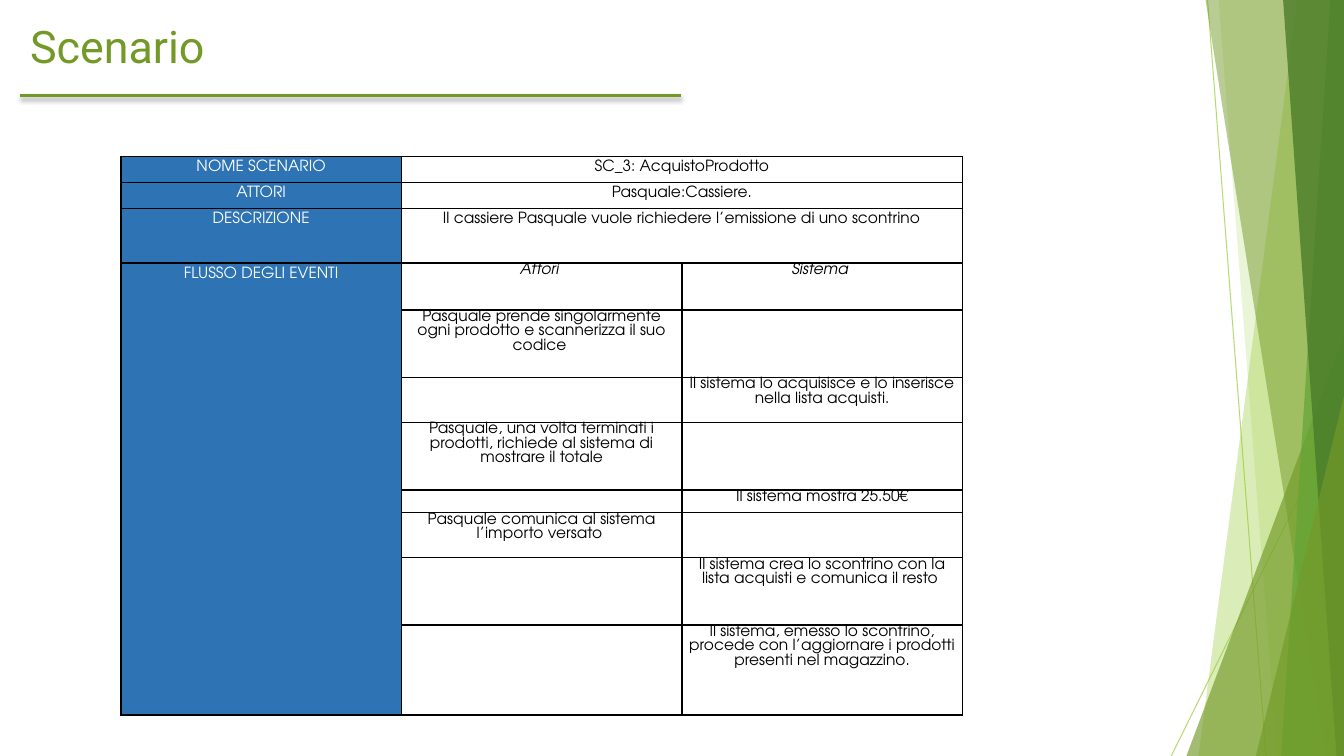
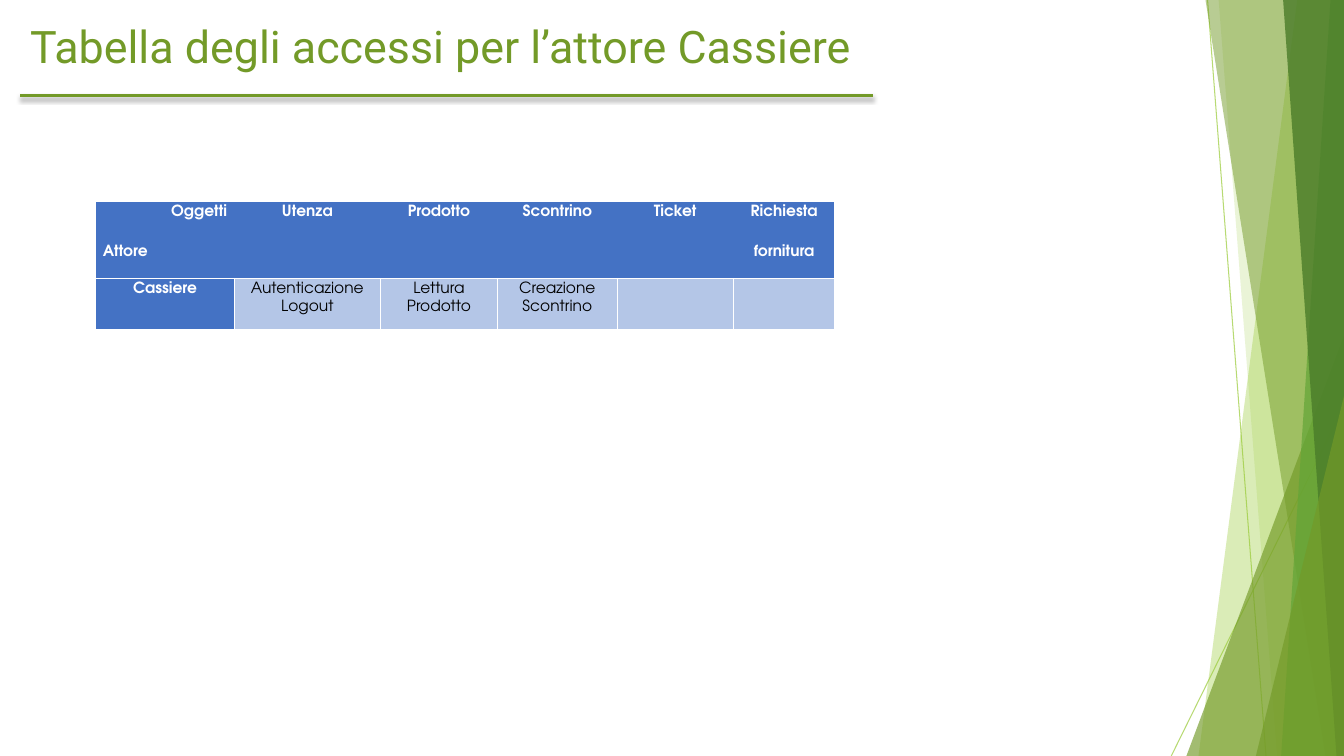
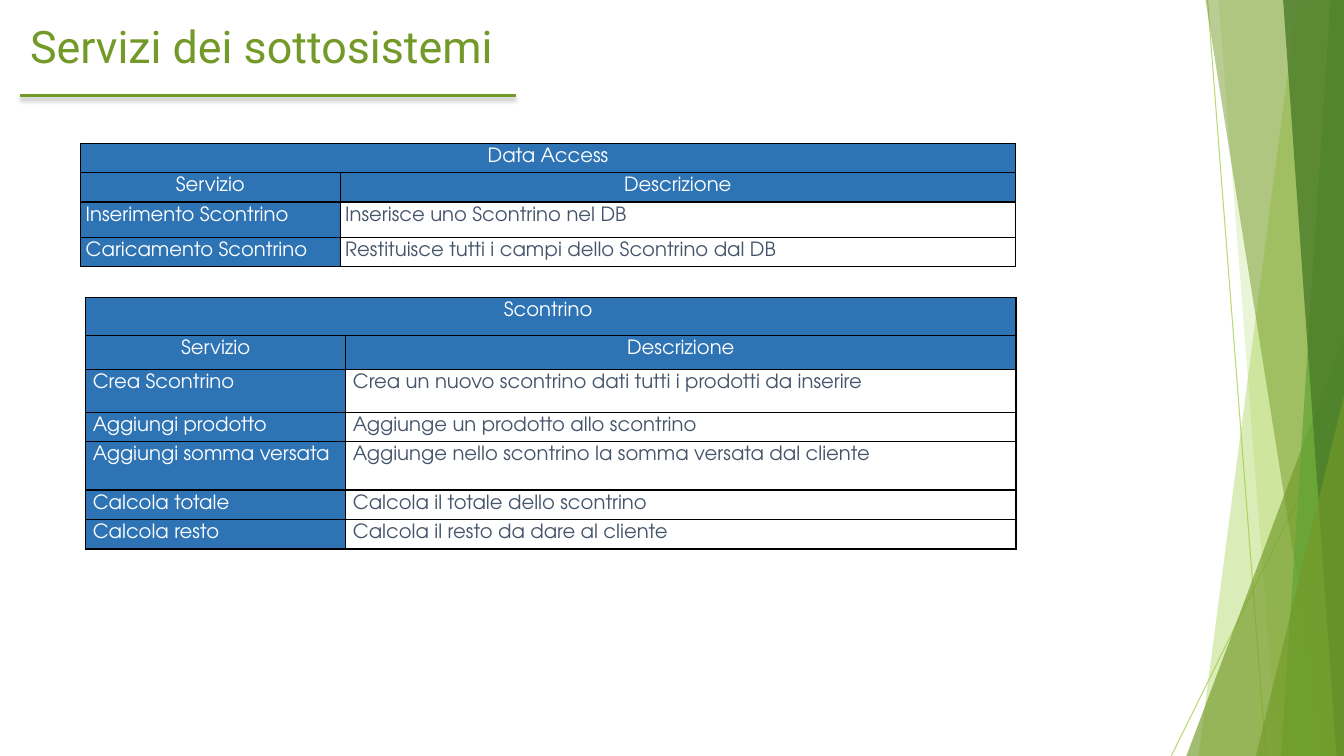
from dataclasses import dataclass

from lxml import etree
from pptx import Presentation
from pptx.dml.color import RGBColor
from pptx.enum.shapes import MSO_CONNECTOR, MSO_SHAPE
from pptx.enum.text import MSO_ANCHOR, PP_ALIGN
from pptx.oxml.ns import qn
from pptx.util import Emu, Inches, Pt

LEFT, MID, RIGHT = PP_ALIGN.LEFT, PP_ALIGN.CENTER, PP_ALIGN.RIGHT
TOP = MSO_ANCHOR.TOP
STRAIGHT = MSO_CONNECTOR.STRAIGHT
WEDGE = MSO_SHAPE.ISOSCELES_TRIANGLE

# The slide is a grid of 160 columns by 90 rows
COLS, ROWS = 160, 90
CELL = Inches(7.5) / ROWS

HUES = {
    "lime": "99CB38", "moss": "739A28", "leaf": "63A537", "pine": "4A7C29",
    "blue": "2E74B5", "royal": "4472C4", "pale": "B4C6E7", "slate": "44546A",
    "white": "FFFFFF", "black": "000000",
}
HEADING, COPY = "Roboto", "TeX Gyre Adventor"


@dataclass(frozen=True)
class Look:
    fill: str | None
    ink: str
    aligns: tuple = (MID,)
    loose: bool = True
    bold: bool = False
    slant: bool = False


@dataclass(frozen=True)
class Grid:
    left: float
    top: float
    cols: list[float]
    rows: list[float]
    cells: list[list[tuple[str, Look]]]
    size: int
    edge: str = "black"
    pad: float = 0.85
    spans: tuple = ()
    open_head: bool = False


@dataclass(frozen=True)
class Page:
    title: str
    width: float
    rule: float
    grids: list[Grid]


@dataclass(frozen=True)
class Ray:
    start: tuple[float, float]
    end: tuple[float, float]


@dataclass(frozen=True)
class Band:
    top: float
    foot: float
    hue: str
    alpha: int


@dataclass(frozen=True)
class Wedge:
    left: float
    top: float


# Shared decoration, from back to front
RAYS = [Ray((143.76, 0), (150.72, ROWS)), Ray((COLS, 48.36), (139.44, ROWS))]
FACETS = [
    Band(154.44, 142.68, "lime", 36),
    Band(145.08, 152.04, "lime", 20),
    Wedge(141.24, 39.96),
    Band(143.52, 157.8, "moss", 50),
    Band(158.4, 152.52, "leaf", 70),
    Band(152.76, 159.12, "pine", 80),
    Wedge(149.52, 47.16),
]


def at(n: float) -> Emu:
    return Emu(round(n * CELL))


def rgb(hue: str) -> RGBColor:
    return RGBColor.from_string(HUES[hue])


def fade(shape, alpha: int) -> None:
    for tint in shape._element.spPr.iter(qn("a:srgbClr")):
        etree.SubElement(tint, qn("a:alpha"), val=str(alpha * 1000))


def paint(shape, hue: str, alpha: int) -> None:
    shape.shadow.inherit = False
    shape.fill.solid()
    shape.fill.fore_color.rgb = rgb(hue)
    shape.line.fill.background()
    fade(shape, alpha)


def draw_line(slide, start: tuple, end: tuple, hue: str, width: float):
    line = slide.shapes.add_connector(
        STRAIGHT, *(at(n) for n in (*start, *end)))
    line.line.color.rgb = rgb(hue)
    line.line.width = Pt(width)
    effect = etree.SubElement(line._element.spPr, qn("a:effectLst"))
    return line, effect


def draw_facet(slide, part: Band | Wedge) -> None:
    if isinstance(part, Wedge):
        shape = slide.shapes.add_shape(
            WEDGE, at(part.left), at(part.top),
            at(COLS - part.left), at(ROWS - part.top))
        shape.adjustments[0] = 1
        paint(shape, "moss", 66)
        return
    pen = slide.shapes.build_freeform(at(part.top), 0)
    pen.add_line_segments([(at(COLS), 0), (at(COLS), at(ROWS)),
                           (at(part.foot), at(ROWS))])
    paint(pen.convert_to_shape(), part.hue, part.alpha)


def draw_title(slide, page: Page) -> None:
    box = slide.shapes.add_textbox(at(2.4), at(1.68), at(page.width), at(10.08))
    frame = box.text_frame
    frame.word_wrap = True
    frame.vertical_anchor = TOP
    frame.text = page.title
    font = frame.paragraphs[0].runs[0].font
    font.name, font.size = HEADING, Pt(32)
    font.color.rgb = rgb("moss")
    # Rule with a soft shadow below it
    _, effect = draw_line(slide, (2.4, 11.4), (page.rule, 11.4), "moss", 2)
    shade = etree.SubElement(
        effect, qn("a:outerShdw"), blurRad=str(Pt(3)), dist=str(Pt(2)),
        dir="5400000", algn="ctr", rotWithShape="0")
    tint = etree.SubElement(shade, qn("a:srgbClr"), val=HUES["black"])
    etree.SubElement(tint, qn("a:alpha"), val="35000")


def draw_edges(cell, hue: str, bare: str) -> None:
    props = cell._tc.get_or_add_tcPr()
    for spot, side in enumerate("LRTB"):
        edge = etree.Element(qn(f"a:ln{side}"), w=str(Pt(1)))
        if side in bare:
            etree.SubElement(edge, qn("a:noFill"))
        else:
            fill = etree.SubElement(edge, qn("a:solidFill"))
            etree.SubElement(fill, qn("a:srgbClr"), val=HUES[hue])
        props.insert(spot, edge)


def fill_cell(cell, text: str, look: Look, size: int, pad: float) -> None:
    cell.margin_left = cell.margin_right = at(pad)
    cell.margin_top = cell.margin_bottom = 0
    cell.vertical_anchor = TOP
    if look.fill:
        cell.fill.solid()
        cell.fill.fore_color.rgb = rgb(look.fill)
    else:
        cell.fill.background()
    if not text:
        para = cell.text_frame.paragraphs[0]
        etree.SubElement(para._p, qn("a:endParaRPr"), sz=str(size * 100))
        return
    cell.text_frame.text = text
    for i, para in enumerate(cell.text_frame.paragraphs):
        para.alignment = look.aligns[min(i, len(look.aligns) - 1)]
        if look.loose:
            para.line_spacing = 1.25
            para.space_after = Pt(16)
        font = para.runs[0].font
        font.name, font.size = COPY, Pt(size)
        font.bold, font.italic = look.bold, look.slant
        font.color.rgb = rgb(look.ink)


def draw_grid(slide, grid: Grid) -> None:
    table = slide.shapes.add_table(
        len(grid.rows), len(grid.cols), at(grid.left), at(grid.top),
        at(sum(grid.cols)), at(sum(grid.rows))).table
    table.first_row = table.horz_banding = False
    for col, width in zip(table.columns, grid.cols):
        col.width = at(width)
    for row, height in zip(table.rows, grid.rows):
        row.height = at(height)
    for first, last in grid.spans:
        table.cell(*first).merge(table.cell(*last))
    end = len(grid.cols) - 1
    for r, line in enumerate(grid.cells):
        for c, (text, look) in enumerate(line):
            cell = table.cell(r, c)
            fill_cell(cell, text, look, grid.size, grid.pad)
            bare = ""
            if grid.open_head and r == 0:
                bare = ("L" if c > 0 else "") + ("R" if c < end else "")
            draw_edges(cell, grid.edge, bare)


# Cell looks
LABEL = Look("blue", "white")
FACT = Look("white", "black")
STEP = Look("white", "black", loose=False)
ROLE = Look("white", "black", loose=False, slant=True)
CORNER = Look("royal", "white", (RIGHT, LEFT), bold=True)
HEAD = Look("royal", "white", bold=True)
RIGHTS = Look("pale", "black")
NAME = Look("blue", "white", (LEFT,))
NOTE = Look(None, "slate", (LEFT,))

# Scenario
FACTS = [
    ("NOME SCENARIO", "SC_3: AcquistoProdotto"),
    ("ATTORI", "Pasquale:Cassiere."),
    ("DESCRIZIONE",
     "Il cassiere Pasquale vuole richiedere l’emissione di uno scontrino"),
]
STEPS = [
    ("Pasquale prende singolarmente ogni prodotto e scannerizza il suo codice ",
     ""),
    ("", "Il sistema lo acquisisce e lo inserisce nella lista acquisti."),
    ("Pasquale, una volta terminati i prodotti, richiede al sistema di "
     "mostrare il totale", ""),
    ("", "Il sistema mostra 25.50€"),
    ("Pasquale comunica al sistema l’importo versato ", ""),
    ("", "Il sistema crea lo scontrino con la lista acquisti e comunica "
     "il resto "),
    ("", "Il sistema, emesso lo scontrino, procede con l’aggiornare i "
     "prodotti presenti nel magazzino."),
]
story = Grid(
    14.4, 18.6, [33.4] * 3,
    [3.12, 3.12, 6.48, 5.6, 8.04, 5.36, 8.04, 2.68, 5.36, 8.04, 10.7],
    [[(key, LABEL), (fact, FACT), ("", FACT)] for key, fact in FACTS]
    + [[("FLUSSO DEGLI EVENTI", LABEL), ("Attori ", ROLE), ("Sistema ", ROLE)]]
    + [[("", LABEL), (user, STEP), (reply, STEP)] for user, reply in STEPS],
    11,
    spans=(*(((r, 1), (r, 2)) for r in range(3)), ((3, 0), (10, 0))),
)

# Access rights
THINGS = ["Utenza", "Prodotto", "Scontrino", "Ticket", "Richiesta\nfornitura"]
ACTS = ["Autenticazione Logout", "Lettura Prodotto", "Creazione Scontrino",
        "", ""]
access = Grid(
    11.4, 23.98, [16.5, 17.4, 13.92, 14.28, 13.8, 12.12], [9.16, 6.12],
    [[("Oggetti\nAttore", CORNER)] + [(thing, HEAD) for thing in THINGS],
     [("Cassiere", HEAD)] + [(act, RIGHTS) for act in ACTS]],
    11, edge="white", open_head=True,
)


# Services of each subsystem
def list_jobs(name: str, jobs: list[tuple[str, str]]) -> list:
    return [
        [(name, LABEL), ("", LABEL)],
        [("Servizio", LABEL), ("Descrizione", LABEL)],
        *([(job, NAME), (note, NOTE)] for job, note in jobs),
    ]


WIDE = (((0, 0), (0, 1)),)
store = Grid(
    9.6, 17.04, [30.9, 80.4], [2.7, 2.7, 4.2, 2.7],
    list_jobs("Data Access", [
        ("Inserimento Scontrino", "Inserisce uno Scontrino nel DB"),
        ("Caricamento Scontrino",
         "Restituisce tutti i campi dello Scontrino dal DB"),
    ]), 14, pad=0.6, spans=WIDE,
)
ticket = Grid(
    10.2, 35.4, [30.96, 79.8], [4.56, 4.08, 5.04, 2.76, 5.76, 2.76, 2.76],
    list_jobs("Scontrino\u00a0", [
        ("Crea Scontrino",
         "Crea un nuovo scontrino dati tutti i prodotti da inserire"),
        ("Aggiungi prodotto", "Aggiunge un prodotto allo scontrino"),
        ("Aggiungi somma versata",
         "Aggiunge nello scontrino la somma versata dal cliente"),
        ("Calcola totale", "Calcola il totale dello scontrino"),
        ("Calcola resto", "Calcola il resto da dare al cliente"),
    ]), 14, spans=WIDE,
)

PAGES = [
    Page("Scenario", 90.6, 81.12, [story]),
    Page("Tabella degli accessi per l’attore Cassiere", 105.24, 103.92,
         [access]),
    Page("Servizi dei sottosistemi", 105.24, 61.44, [store, ticket]),
]

# Build the deck
deck = Presentation()
deck.slide_width, deck.slide_height = at(COLS), at(ROWS)
blank = deck.slide_layouts[6]
for page in PAGES:
    slide = deck.slides.add_slide(blank)
    for ray in RAYS:
        line, _ = draw_line(slide, ray.start, ray.end, "lime", 0.75)
        fade(line, 70)
    for part in FACETS:
        draw_facet(slide, part)
    draw_title(slide, page)
    for grid in page.grids:
        draw_grid(slide, grid)
deck.save("out.pptx")
